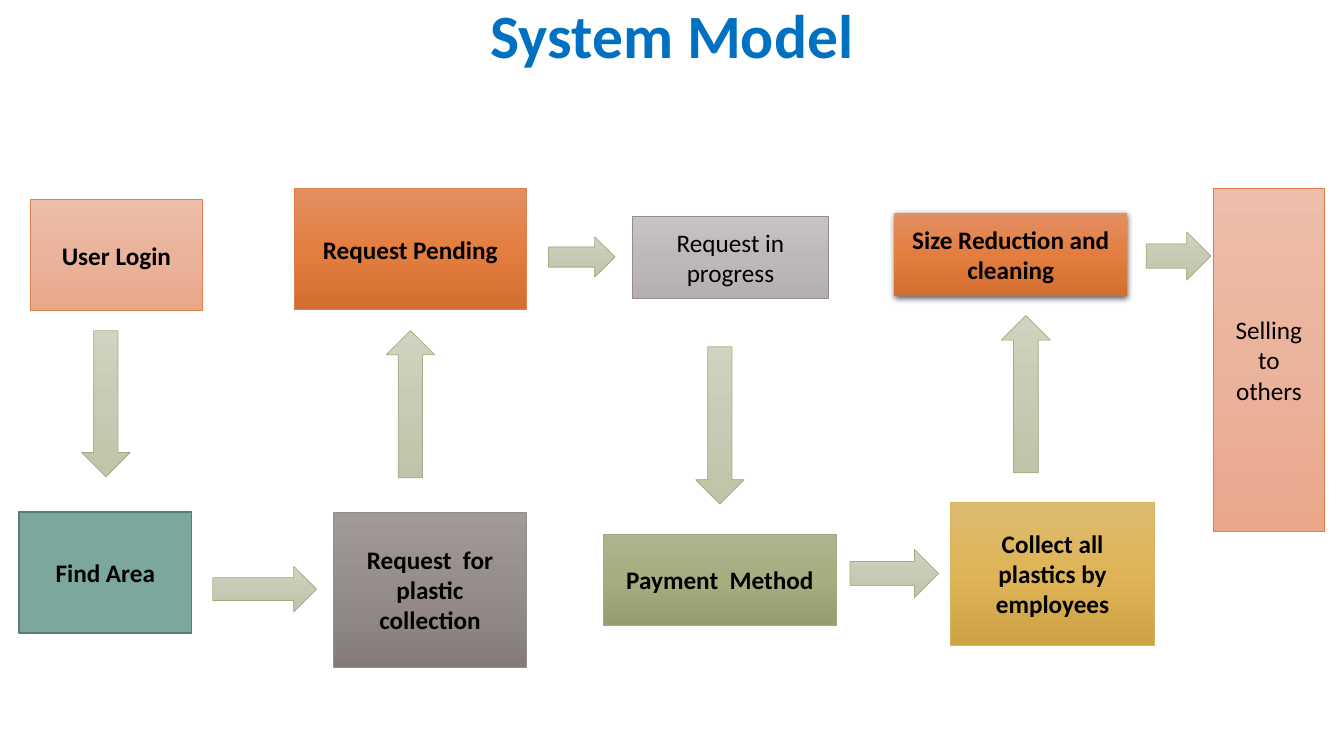
import copy

import lxml.etree
import pptx
import pptx.dml.color
import pptx.enum.shapes
import pptx.enum.text
import pptx.oxml.ns
import pptx.util

Inches = pptx.util.Inches
Shapes = pptx.enum.shapes.MSO_SHAPE
Align = pptx.enum.text.PP_ALIGN
Anchor = pptx.enum.text.MSO_ANCHOR
color = pptx.dml.color.RGBColor.from_string
qn = pptx.oxml.ns.qn

# Colours run from top to bottom; "line" is an outline colour and width
THEME = {
    "title": {"name": "Calibri", "size": pptx.util.Pt(44), "bold": True, "color": "0070C0"},
    "label": {"name": "Calibri", "size": pptx.util.Pt(18), "color": "000000"},
    "peach": {"fill": ["EEBEAA", "EAB39C", "EBA78A"], "line": ("DD8047", 0.5)},
    "orange": {"fill": ["E28F63", "E47E40", "D46E30"], "line": ("DD8047", 0.5)},
    "shadowed": {"fill": ["E28F63", "E47E40", "D46E30"], "line": None},
    "brown": {"fill": ["A29999", "968C8C", "867B7B"], "line": ("968C8C", 0.5)},
    "grey": {"fill": ["C8C4C4", "BEB9B9", "B5AFAF"], "line": ("968C8C", 0.5)},
    "gold": {"fill": ["DDBB72", "DEB456", "CDA345"], "line": ("D8B25C", 0.5)},
    "teal": {"fill": ["7BA79D"], "line": ("5B7C74", 1)},
    "olive": {"fill": ["AFB490", "A6AD7F", "969C6E"], "line": ("A5AB81", 0.5)},
    "arrow": {"fill": ["D0D3BF", "C7CAB4", "C0C4A8"], "line": ("A5AB81", 0.5)},
}


def write_text(shape, text, style, anchor, **extra):
    frame = shape.text_frame
    frame.text = text
    frame.word_wrap = True
    frame.auto_size = pptx.enum.text.MSO_AUTO_SIZE.NONE
    frame.vertical_anchor = anchor
    paragraph = frame.paragraphs[0]
    paragraph.alignment = Align.CENTER
    font = paragraph.runs[0].font
    for name, value in {**THEME[style], **extra}.items():
        if name == "color":
            font.color.rgb = color(value)
        else:
            setattr(font, name, value)
    return paragraph


def add_painted_shape(kind, position, style):
    shape = slide.shapes.add_shape(kind, *map(Inches, position))
    shape.shadow.inherit = False
    colors, line = THEME[style]["fill"], THEME[style]["line"]
    if len(colors) == 1:
        shape.fill.solid()
        shape.fill.fore_color.rgb = color(colors[0])
    else:
        shape.fill.gradient()
        shape.fill.gradient_angle = 270
        stop_list = next(shape._element.spPr.iter(qn("a:gsLst")))
        stop_list.insert(1, copy.deepcopy(stop_list[0]))
        for index, stop in enumerate(shape.fill.gradient_stops):
            stop.color.rgb = color(colors[index])
            stop.position = index / 2
    if line:
        shape.line.color.rgb = color(line[0])
        shape.line.width = pptx.util.Pt(line[1])
    else:
        shape.line.fill.background()
    return shape


presentation = pptx.Presentation()
presentation.slide_width = Inches(13.33)
presentation.slide_height = Inches(7.5)
slide = presentation.slides.add_slide(presentation.slide_layouts[5])

# Title
title = slide.shapes.title
title.left, title.top = Inches(0), Inches(0)
title.width, title.height = presentation.slide_width, presentation.slide_height
heading = write_text(title, "System Model", "title", Anchor.TOP)
heading.line_spacing = 0.9
heading.space_before = pptx.util.Pt(10)

# Steps of the process
steps = [
    ("User Login", (0.3, 1.98, 1.71, 1.1), "peach", True),
    ("Find Area", (0.19, 5.08, 1.71, 1.2), "teal", True),
    ("Request  for plastic collection", (3.31, 5.08, 1.91, 1.54), "brown", True),
    ("Request Pending", (2.92, 1.87, 2.3, 1.2), "orange", True),
    ("Request in progress", (6.27, 2.15, 1.95, 0.81), "grey", False),
    ("Payment  Method", (5.98, 5.3, 2.32, 0.9), "olive", True),
    ("Collect all plastics by employees", (9.43, 4.98, 2.02, 1.42), "gold", True),
    ("Size Reduction and cleaning", (8.87, 2.11, 2.31, 0.83), "shadowed", True),
    ("Selling to others", (12.03, 1.87, 1.11, 3.4), "peach", False),
]
for text, position, style, bold in steps:
    box = add_painted_shape(Shapes.RECTANGLE, position, style)
    write_text(box, text, "label", Anchor.MIDDLE, bold=bold)
    if style == "shadowed":
        effects = box._element.spPr.find(qn("a:effectLst"))
        shadow = lxml.etree.SubElement(
            effects, qn("a:outerShdw"), blurRad="57150", dist="19050",
            dir="5400000", algn="ctr", rotWithShape="0")
        shade = lxml.etree.SubElement(shadow, qn("a:srgbClr"), val="000000")
        lxml.etree.SubElement(shade, qn("a:alpha"), val="63000")

# Arrows between the steps, in order
arrows = [
    (Shapes.DOWN_ARROW, (0.81, 3.28, 0.48, 1.45)),
    (Shapes.RIGHT_ARROW, (2.11, 5.62, 1.03, 0.45)),
    (Shapes.UP_ARROW, (3.83, 3.28, 0.48, 1.46)),
    (Shapes.RIGHT_ARROW, (5.44, 2.35, 0.66, 0.4)),
    (Shapes.DOWN_ARROW, (6.9, 3.44, 0.48, 1.56)),
    (Shapes.RIGHT_ARROW, (8.43, 5.45, 0.88, 0.48)),
    (Shapes.UP_ARROW, (9.93, 3.13, 0.49, 1.56)),
    (Shapes.RIGHT_ARROW, (11.37, 2.3, 0.64, 0.48)),
]
for kind, position in arrows:
    add_painted_shape(kind, position, "arrow")

presentation.save("out.pptx")
